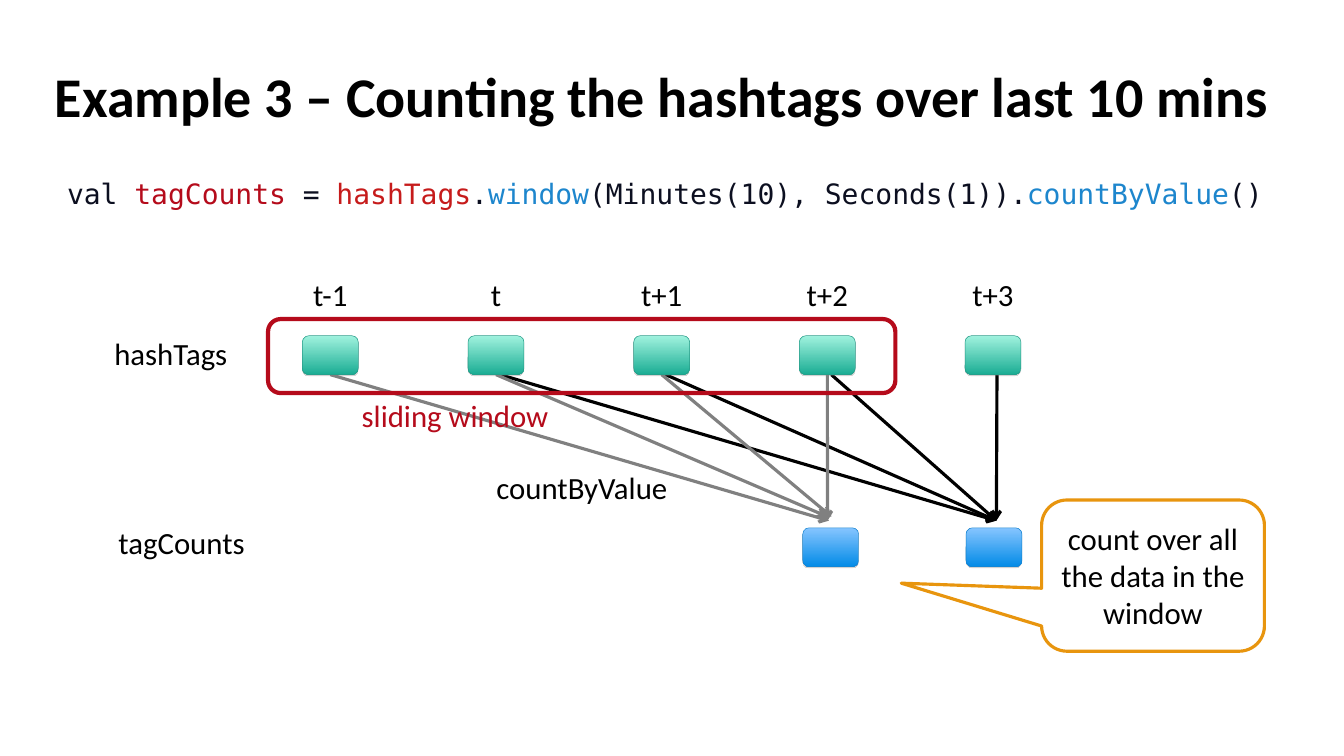
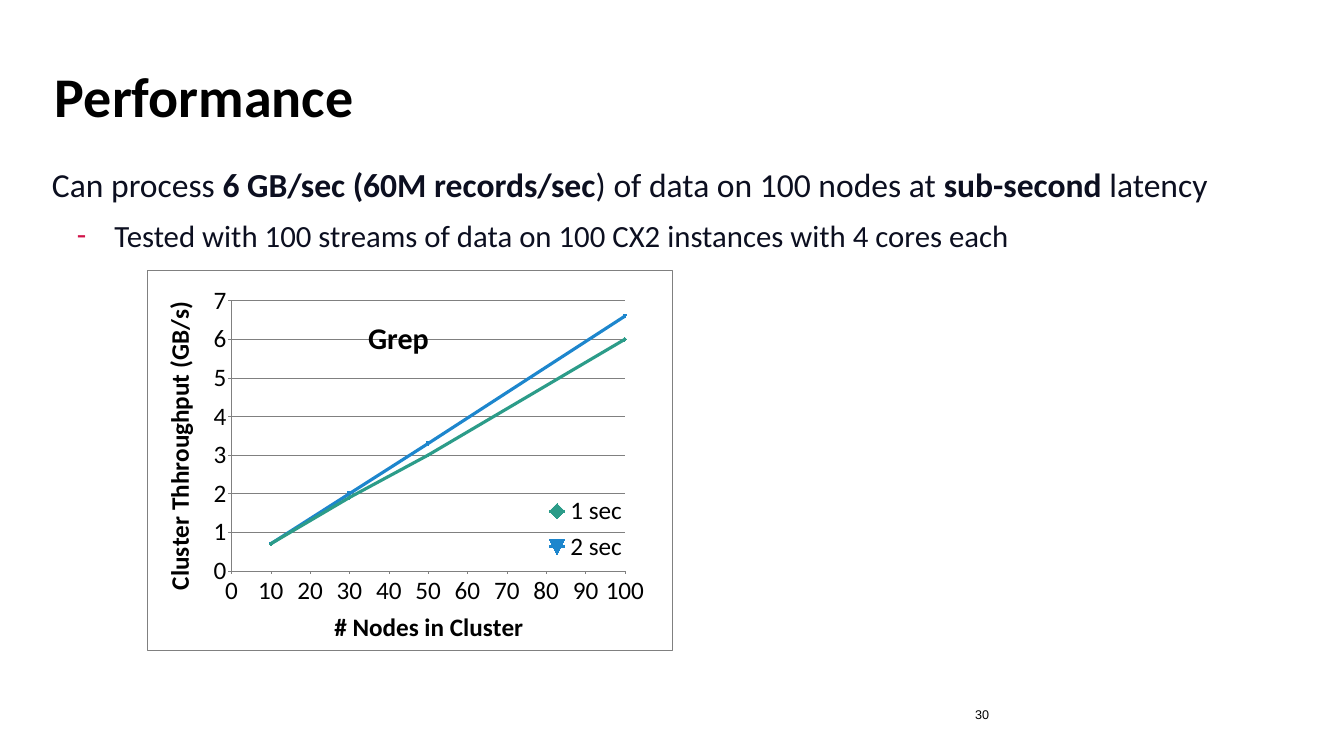
import pptx
import pptx.chart.data
import pptx.dml.color
import pptx.enum.chart
import pptx.enum.dml
import pptx.enum.shapes
import pptx.enum.text
import pptx.oxml
import pptx.oxml.ns
import pptx.util

Cm = pptx.util.Cm
Pt = pptx.util.Pt
RGBColor = pptx.dml.color.RGBColor
SHAPE = pptx.enum.shapes.MSO_SHAPE
ANCHOR = pptx.enum.text.MSO_ANCHOR
ALIGN = pptx.enum.text.PP_ALIGN
AUTO_SIZE = pptx.enum.text.MSO_AUTO_SIZE
qn = pptx.oxml.ns.qn

BLACK = RGBColor(0x00, 0x00, 0x00)
WHITE = RGBColor(0xFF, 0xFF, 0xFF)
GRAY = RGBColor(0x80, 0x80, 0x80)
INK = RGBColor(0x0C, 0x0F, 0x20)
CRIMSON = RGBColor(0xB5, 0x0B, 0x1B)
RED = RGBColor(0xC6, 0x1B, 0x1B)
PINK = RGBColor(0xD1, 0x13, 0x49)
ORANGE = RGBColor(0xE8, 0x95, 0x0E)
BLUE = RGBColor(0x1D, 0x86, 0xCD)
GREEN = RGBColor(0x2C, 0x9C, 0x89)
# Each batch style is gradient top, gradient bottom, outline.
GREEN_BATCH = (RGBColor(0xA0, 0xF2, 0xDE), RGBColor(0x1B, 0xAD, 0x94), RGBColor(0x28, 0x9B, 0x88))
BLUE_BATCH = (RGBColor(0x86, 0xC5, 0xFF), RGBColor(0x03, 0x8B, 0xE7), RGBColor(0x18, 0x84, 0xCD))

FONT = "Calibri"
CODE_FONT = "DejaVu Sans Mono"
BATCH_WIDTH, BATCH_HEIGHT = 2.82, 1.96
LABEL_WIDTH, LABEL_HEIGHT = 3.84, 2.13


def add_xml(parent, tag, **attributes):
    child = parent.makeelement(qn(tag), attributes)
    parent.append(child)
    return child


def add_span(para, text, *, size=44, color=BLACK, font=FONT, bold=False):
    span = para.add_run()
    span.text = text
    span.font.name = font
    span.font.size = Pt(size)
    span.font.bold = bold
    span.font.color.rgb = color


def set_margins(frame, sides, ends):
    frame.margin_left = frame.margin_right = Cm(sides)
    frame.margin_top = frame.margin_bottom = Cm(ends)


def set_bullet(para, mark=None, margin=0, indent=0):
    properties = para._p.get_or_add_pPr()
    properties.set("marL", str(Cm(margin)))
    properties.set("indent", str(Cm(indent)))
    if mark is None:
        add_xml(properties, "a:buNone")
        return
    add_xml(add_xml(properties, "a:buClr"), "a:srgbClr", val=str(PINK))
    add_xml(properties, "a:buFont", typeface=FONT)
    add_xml(properties, "a:buChar", char=mark)


def set_layout(parent, after, **edges):
    """Fix a chart part by fractions of the chart area."""
    for old in parent.findall(qn("c:layout")):
        parent.remove(old)
    layout = parent.makeelement(qn("c:layout"), {})
    manual = add_xml(layout, "c:manualLayout")
    if after is None:
        add_xml(manual, "c:layoutTarget", val="inner")
        parent.insert(0, layout)
    else:
        parent.find(qn(after)).addnext(layout)
    add_xml(manual, "c:xMode", val="edge")
    add_xml(manual, "c:yMode", val="edge")
    for name, value in edges.items():
        add_xml(manual, f"c:{name}", val=str(value))


class Deck:
    def __init__(self):
        self.deck = pptx.Presentation()
        self.deck.slide_width = Cm(67.74)
        self.deck.slide_height = Cm(38.1)
        self.page = None

    def new_page(self, title):
        self.page = self.deck.slides.add_slide(self.deck.slide_layouts[1])
        frame = self.placeholder(self.page.shapes.title, 2.62, 2.57, 62.2, 4.42)
        set_margins(frame, 0.15, 0.15)
        frame.vertical_anchor = ANCHOR.MIDDLE
        frame.paragraphs[0].alignment = ALIGN.LEFT
        add_span(frame.paragraphs[0], title, size=80, bold=True)

    def placeholder(self, holder, left, top, width, height):
        holder.left, holder.top = Cm(left), Cm(top)
        holder.width, holder.height = Cm(width), Cm(height)
        holder.text_frame.auto_size = AUTO_SIZE.NONE
        holder.text_frame.word_wrap = True
        return holder.text_frame

    def body(self, left, top, width, height):
        frame = self.placeholder(self.page.placeholders[1], left, top, width, height)
        set_margins(frame, 0, 0)
        frame.vertical_anchor = ANCHOR.TOP
        frame.paragraphs[0].space_before = Pt(18)
        set_bullet(frame.paragraphs[0])
        return frame

    def label(self, text, left, top, width, height=LABEL_HEIGHT, *,
              centred=False, margins=(0.25, 0.13), **style):
        box = self.page.shapes.add_textbox(Cm(left), Cm(top), Cm(width), Cm(height))
        frame = box.text_frame
        frame.word_wrap = centred
        set_margins(frame, *margins)
        para = frame.paragraphs[0]
        para.alignment = ALIGN.CENTER if centred else ALIGN.LEFT
        add_span(para, text, **style)

    def shape(self, kind, left, top, width, height, *, line, weight, fill=None):
        shape = self.page.shapes.add_shape(kind, Cm(left), Cm(top), Cm(width), Cm(height))
        shape.shadow.inherit = False
        shape.line.color.rgb = line
        shape.line.width = Pt(weight)
        if fill is None:
            shape.fill.background()
        else:
            shape.fill.solid()
            shape.fill.fore_color.rgb = fill
        return shape

    def batch(self, left, top, style):
        """Draw one shaded data batch."""
        upper, lower, outline = style
        shape = self.shape(SHAPE.FLOWCHART_ALTERNATE_PROCESS, left, top,
                           BATCH_WIDTH, BATCH_HEIGHT, line=outline, weight=0.75)
        shape.fill.gradient()
        shape.fill.gradient_angle = 270
        for stop, color, position in zip(shape.fill.gradient_stops, (upper, lower), (0, 1)):
            stop.color.rgb = color
            stop.position = position
        effects = shape.element.spPr.find(qn("a:effectLst"))
        shadow = add_xml(effects, "a:outerShdw", blurRad="0", dist=str(Pt(1.8)),
                         dir="5400000", rotWithShape="0")
        add_xml(add_xml(shadow, "a:srgbClr", val=str(GRAY)), "a:alpha", val="35000")

    def arrow(self, start, end, color):
        points = [Cm(value) for value in (*start, *end)]
        arrow = self.page.shapes.add_connector(pptx.enum.shapes.MSO_CONNECTOR.STRAIGHT, *points)
        arrow.line.color.rgb = color
        arrow.line.width = Pt(4.5)
        properties = arrow.element.spPr
        add_xml(properties.find(qn("a:ln")), "a:tailEnd", type="arrow")
        add_xml(properties, "a:effectLst")

    def callout(self, text, left, top, width, height, tip):
        shape = self.shape(SHAPE.ROUNDED_RECTANGULAR_CALLOUT, left, top, width, height,
                           line=ORANGE, weight=4.5, fill=WHITE)
        for index, value in enumerate((*tip, 0.167)):
            shape.adjustments[index] = value
        frame = shape.text_frame
        frame.word_wrap = True
        frame.vertical_anchor = ANCHOR.MIDDLE
        set_margins(frame, 0, 0.13)
        frame.paragraphs[0].alignment = ALIGN.CENTER
        add_span(frame.paragraphs[0], text)

    def scatter(self, left, top, width, height, title, x_values, series):
        data = pptx.chart.data.XyChartData()
        for name, y_values, _ in series:
            points = data.add_series(name)
            for x, y in zip(x_values, y_values):
                points.add_data_point(x, y)
        chart = self.page.shapes.add_chart(
            pptx.enum.chart.XL_CHART_TYPE.XY_SCATTER_LINES,
            Cm(left), Cm(top), Cm(width), Cm(height), data).chart
        chart.font.name = FONT
        chart.font.size = Pt(36)
        chart.font.color.rgb = BLACK
        chart.plots[0].vary_by_categories = False
        for line, (_, _, color) in zip(chart.plots[0].series, series):
            line.smooth = False
            line.format.line.color.rgb = color
            line.format.line.width = Pt(4.5)
            line.marker.size = 5
            line.marker.format.fill.solid()
            line.marker.format.fill.fore_color.rgb = color
            line.marker.format.line.color.rgb = color

        chart.has_title = True
        add_span(chart.chart_title.text_frame.paragraphs[0], title, size=43, bold=True)
        chart.has_legend = True
        chart.legend.position = pptx.enum.chart.XL_LEGEND_POSITION.BOTTOM
        chart.legend.include_in_layout = False
        body = chart.element.find(qn("c:chart"))
        set_layout(body.find(qn("c:title")), "c:tx", x=0.41, y=0.11)
        set_layout(body.find(qn("c:legend")), "c:legendPos", x=0.75, y=0.58, w=0.17, h=0.2)
        set_layout(body.find(qn("c:plotArea")), None, x=0.16, y=0.08, w=0.75, h=0.71)

        border = chart.element.makeelement(qn("c:spPr"), {})
        add_xml(add_xml(border, "a:solidFill"), "a:srgbClr", val=str(WHITE))
        outline = add_xml(border, "a:ln", w=str(Pt(0.75)))
        add_xml(add_xml(outline, "a:solidFill"), "a:srgbClr", val=str(GRAY))
        body.addnext(border)
        return chart

    def axis(self, axis, title, maximum, step, *, grid=False, rotation=0):
        axis.minimum_scale, axis.maximum_scale = 0, maximum
        axis.major_unit = step
        axis.major_tick_mark = pptx.enum.chart.XL_TICK_MARK.OUTSIDE
        axis.minor_tick_mark = pptx.enum.chart.XL_TICK_MARK.NONE
        axis.tick_labels.number_format = "0"
        axis.tick_labels.number_format_is_linked = False
        axis.format.line.color.rgb = GRAY
        axis.has_major_gridlines = grid
        if grid:
            axis.major_gridlines.format.line.color.rgb = GRAY
        axis.has_title = True
        frame = axis.axis_title.text_frame
        add_span(frame.paragraphs[0], title, size=36, bold=True)
        properties = frame._txBody.find(qn("a:bodyPr"))
        properties.set("rot", str(rotation * 60000))
        properties.set("vert", "horz")


def build_hashtag_page(deck):
    deck.new_page("Example 3 – Counting the hashtags over last 10 mins")
    code = deck.body(3.38, 8.89, 63.37, 4.45).paragraphs[0]
    for text, color in (("val ", INK), ("tagCounts ", CRIMSON), ("= ", INK),
                        ("hashTags", RED), (".", INK), ("window", BLUE),
                        ("(Minutes(10), Seconds(1)).", INK),
                        ("countByValue", BLUE), ("()", INK)):
        add_span(code, text, size=40, color=color, font=CODE_FONT)

    times = ("t-1", "t", "t+1", "t+2", "t+3")
    batch_top, count_top = 16.92, 26.6
    batch_lefts = [15.24 + 8.35 * index for index in range(len(times))]
    centres = [left + BATCH_WIDTH / 2 for left in batch_lefts]
    start_y = batch_top + BATCH_HEIGHT
    for centre in centres[1:]:
        deck.arrow((centre + 0.2, start_y), (50.22, 26.24), BLACK)
    gray_ends = ((41.78, 26.24), (41.71, 26.04), (41.91, 26.04), (41.71, 26.24))
    for centre, end in zip(centres, gray_ends):
        deck.arrow((centre, start_y), end, GRAY)

    deck.label("hashTags", 5.51, 16.76, 6.4)
    deck.label("tagCounts", 5.72, 26.24, 6.99)
    for time, left, centre in zip(times, batch_lefts, centres):
        deck.batch(left, batch_top, GREEN_BATCH)
        deck.label(time, centre - LABEL_WIDTH / 2, 13.78, LABEL_WIDTH,
                   centred=True, margins=(0, 0.13))
    for left in (40.46, 48.69):
        deck.batch(left, count_top, BLUE_BATCH)

    window = deck.shape(SHAPE.ROUNDED_RECTANGLE, 13.51, 16.08, 31.62, 3.73,
                        line=CRIMSON, weight=6)
    window.adjustments[0] = 0.17
    deck.label("sliding window", 17.98, 19.86, 10.01, color=CRIMSON)
    deck.label("countByValue", 24.77, 23.5, 9.35)
    deck.callout("count over all the data in the window", 52.5, 25.2, 11.23, 7.62,
                 tip=(-1.13, 0.05))


def build_performance_page(deck):
    deck.new_page("Performance")
    frame = deck.body(2.62, 8.26, 62.2, 25.76)
    for text, bold in (("Can process ", False), ("6 GB/sec (60M records/sec", True),
                       (") of data on 100 nodes at ", False), ("sub-second", True),
                       (" latency", False)):
        add_span(frame.paragraphs[0], text, size=48, color=INK, bold=bold)
    detail = frame.add_paragraph()
    detail.level = 1
    detail.space_before = Pt(18)
    set_bullet(detail, "-", margin=3.15, indent=-1.9)
    add_span(detail, "Tested with 100 streams of data on 100 CX2 instances with 4 cores each",
             color=INK)

    chart = deck.scatter(7.42, 13.61, 26.47, 19.2, "Grep", (10, 30, 50, 100),
                         (("1 sec", (0.7, 1.9, 3, 6), GREEN),
                          ("2 sec", (0.7, 2, 3.3, 6.6), BLUE)))
    deck.axis(chart.category_axis, "# Nodes in Cluster", 100, 10)
    deck.axis(chart.value_axis, "Cluster Thhroughput (GB/s)", 7, 1, grid=True, rotation=-90)
    deck.label("30", 48.54, 35.31, 15.8, 2.03, margins=(0.61, 0.3), size=18, font="Arial")


def main():
    deck = Deck()
    build_hashtag_page(deck)
    build_performance_page(deck)
    deck.deck.save("out.pptx")


if __name__ == "__main__":
    main()
